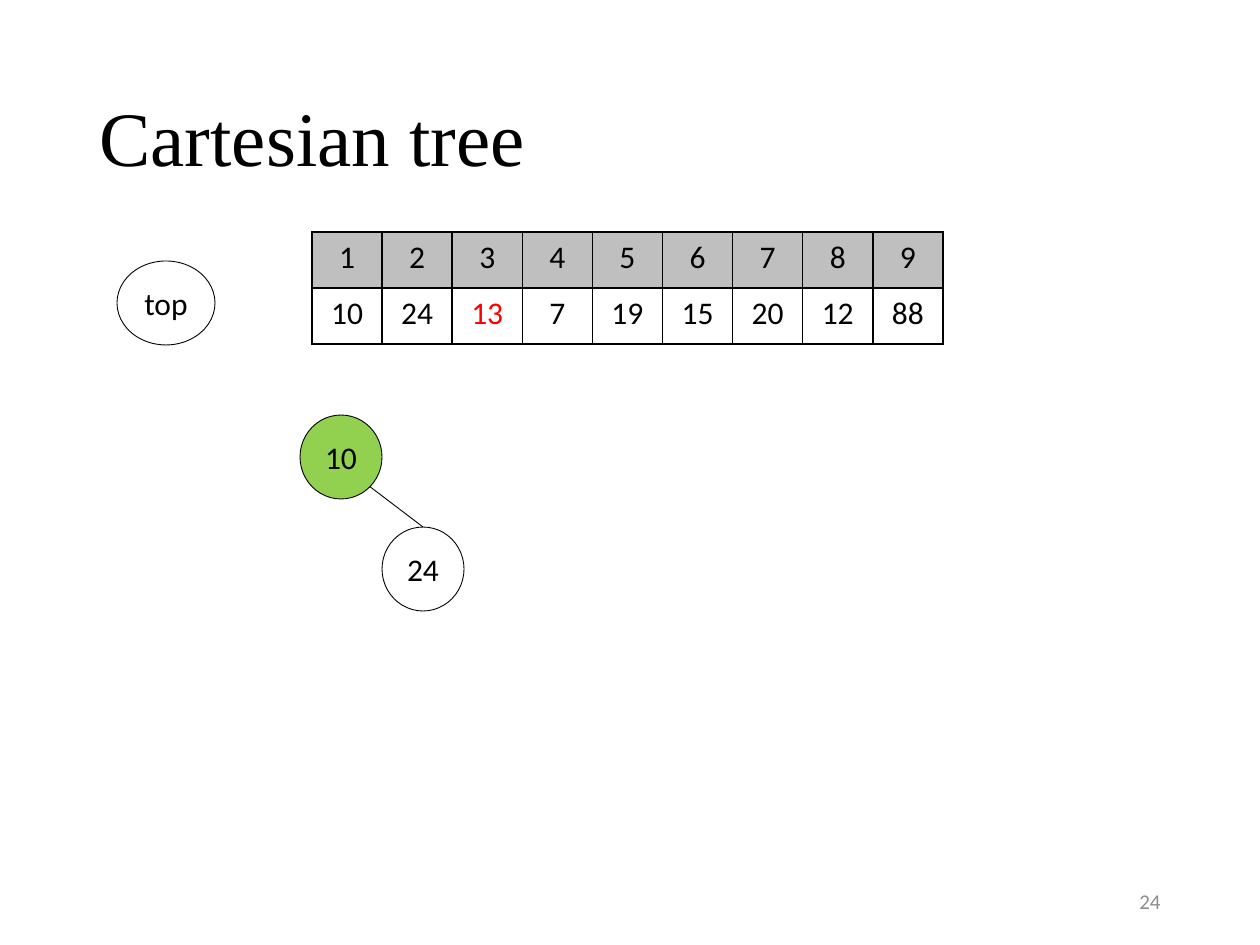
from math import sqrt

from lxml.etree import SubElement
from pptx import Presentation
from pptx.dml.color import RGBColor
from pptx.enum.shapes import MSO_CONNECTOR, MSO_SHAPE
from pptx.enum.text import MSO_ANCHOR, PP_ALIGN
from pptx.oxml.ns import qn
from pptx.util import Emu, Pt

PIXEL = 914400 / 126
BLACK = RGBColor(0x00, 0x00, 0x00)
WHITE = RGBColor(0xFF, 0xFF, 0xFF)
RED = RGBColor(0xFF, 0x00, 0x00)
GREEN = RGBColor(0x92, 0xD0, 0x50)
HEADER_GRAY = RGBColor(0xBF, 0xBF, 0xBF)
NUMBER_GRAY = RGBColor(0x8C, 0x8C, 0x8C)

VALUES = [10, 24, 13, 7, 19, 15, 20, 12, 88]
CURRENT_INDEX = 3
NODE_WIDTH, NODE_HEIGHT = 82, 84


def px(*lengths):
    return [Emu(round(length * PIXEL)) for length in lengths]


def format_paragraph(paragraph, size, color=BLACK, alignment=PP_ALIGN.CENTER, font="Calibri"):
    paragraph.alignment = alignment
    paragraph.font.name = font
    paragraph.font.size = Pt(size)
    paragraph.font.color.rgb = color


def add_title(slide, box, text):
    title = slide.shapes.title
    title.left, title.top, title.width, title.height = px(*box)
    title.text_frame.text = text
    title.text_frame.vertical_anchor = MSO_ANCHOR.MIDDLE
    paragraph = title.text_frame.paragraphs[0]
    paragraph.line_spacing = 0.9
    format_paragraph(paragraph, 44, alignment=PP_ALIGN.LEFT, font="Times New Roman")


def add_slide_number(slide, box, text):
    text_frame = slide.shapes.add_textbox(*px(*box)).text_frame
    text_frame.word_wrap = True
    text_frame.vertical_anchor = MSO_ANCHOR.MIDDLE
    text_frame.text = text
    format_paragraph(text_frame.paragraphs[0], 12, NUMBER_GRAY, PP_ALIGN.RIGHT)


def add_node(slide, box, text, fill=None):
    node = slide.shapes.add_shape(MSO_SHAPE.OVAL, *px(*box))
    node.shadow.inherit = False
    if fill is None:
        node.fill.background()
    else:
        node.fill.solid()
        node.fill.fore_color.rgb = fill
    node.line.color.rgb = BLACK
    node.line.width = Pt(0.5)
    text_frame = node.text_frame
    text_frame.margin_left = text_frame.margin_right = 0
    text_frame.vertical_anchor = MSO_ANCHOR.MIDDLE
    text_frame.text = text
    format_paragraph(text_frame.paragraphs[0], 18)


def add_edge(slide, start, end):
    edge = slide.shapes.add_connector(MSO_CONNECTOR.STRAIGHT, *px(*start, *end))
    edge.line.color.rgb = BLACK
    edge.line.width = Pt(0.5)
    SubElement(edge._element.spPr, qn("a:effectLst"))


def add_tree(slide, left, top):
    child_left, child_top = left + NODE_WIDTH, top + 112
    add_node(slide, (left, top, NODE_WIDTH, NODE_HEIGHT), "10", GREEN)
    add_node(slide, (child_left, child_top, NODE_WIDTH, NODE_HEIGHT), "24")
    diagonal = (1 + 1 / sqrt(2)) / 2
    root_corner = (left + NODE_WIDTH * diagonal, top + NODE_HEIGHT * diagonal)
    add_edge(slide, (child_left + NODE_WIDTH / 2, child_top), root_corner)


def format_cell(cell, text, fill, color):
    cell.text = text
    cell.fill.solid()
    cell.fill.fore_color.rgb = fill
    format_paragraph(cell.text_frame.paragraphs[0], 18, color)
    properties = cell._tc.get_or_add_tcPr()
    for position, side in enumerate(("a:lnL", "a:lnR", "a:lnT", "a:lnB")):
        border = properties.makeelement(qn(side), {"w": str(Pt(1))})
        border_fill = SubElement(border, qn("a:solidFill"))
        SubElement(border_fill, qn("a:srgbClr"), val=str(BLACK))
        properties.insert(position, border)


def add_array_table(slide, box):
    columns = len(VALUES)
    table = slide.shapes.add_table(2, columns, *px(*box)).table
    table.first_row = False
    table.horz_banding = False
    for column in table.columns:
        column.width = px(box[2] / columns)[0]
    for row in table.rows:
        row.height = px(box[3] / 2)[0]
    for index, value in enumerate(VALUES, start=1):
        color = RED if index == CURRENT_INDEX else BLACK
        format_cell(table.cell(0, index - 1), str(index), HEADER_GRAY, BLACK)
        format_cell(table.cell(1, index - 1), str(value), WHITE, color)


def main():
    presentation = Presentation()
    presentation.slide_width, presentation.slide_height = px(1260, 945)
    slide = presentation.slides.add_slide(presentation.slide_layouts[5])
    add_title(slide, (87, 50, 1086, 183), "Cartesian tree")
    add_slide_number(slide, (890, 876, 283, 50), "24")
    add_array_table(slide, (312, 232, 631, 112))
    add_tree(slide, 300, 415)
    add_node(slide, (117, 261, 98, 84), "top", WHITE)
    presentation.save("out.pptx")


if __name__ == "__main__":
    main()
